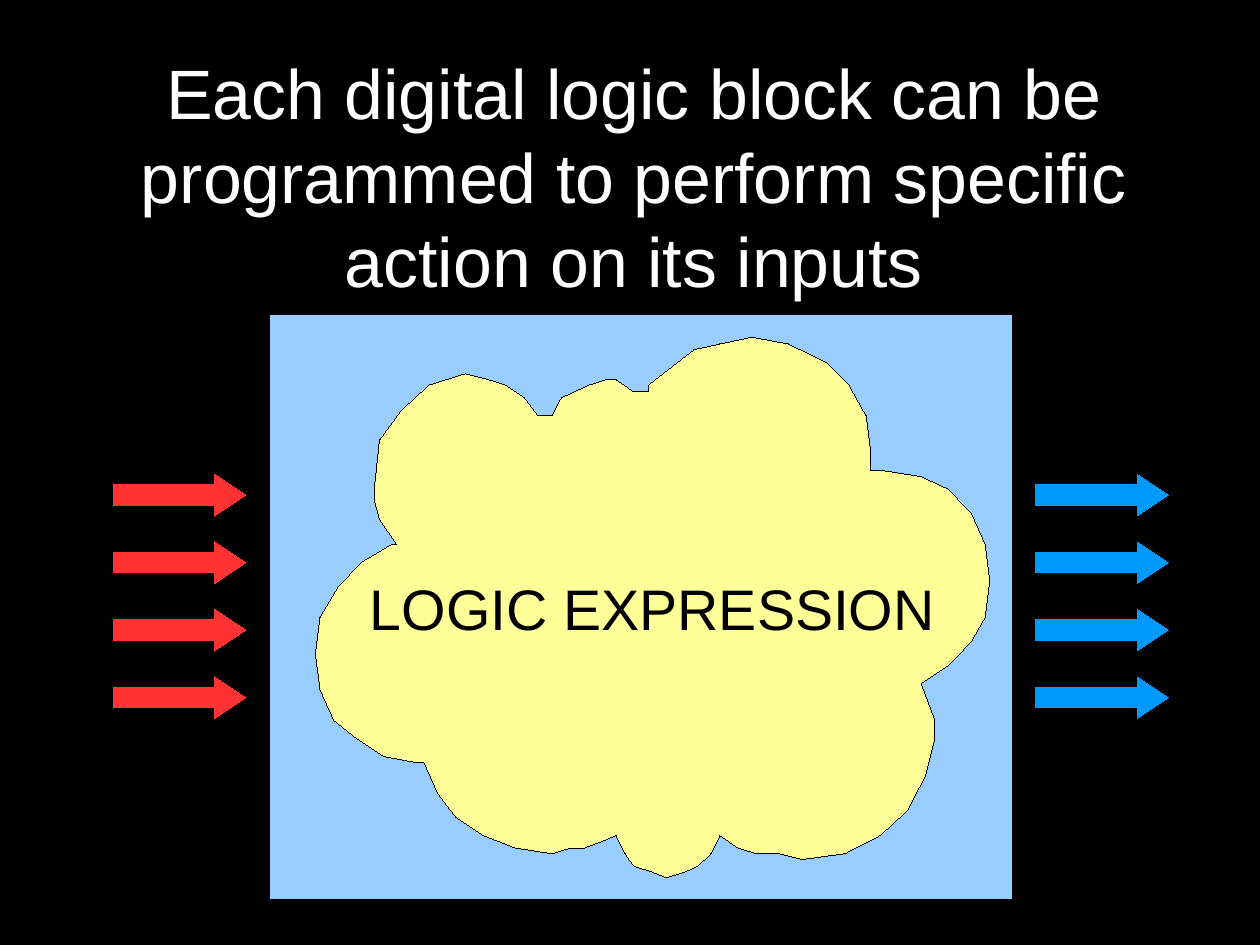
from dataclasses import dataclass

from pptx import Presentation
from pptx import util as u
from pptx.dml.color import RGBColor
from pptx.enum import shapes, text
from pptx.oxml import ns

BLACK = RGBColor(0x00, 0x00, 0x00)
WHITE = RGBColor(0xFF, 0xFF, 0xFF)
PALE_BLUE = RGBColor(0x99, 0xCC, 0xFF)
RED = RGBColor(0xFF, 0x33, 0x33)
BLUE = RGBColor(0x00, 0x99, 0xFF)
YELLOW = RGBColor(0xFF, 0xFF, 0x99)

CM_PER_INCH = 2.54
ARROWS_PER_SIDE = 4
ARROW_TOP_CM = 10.5
ARROW_PITCH_CM = 1.5
HUNDREDTH = u.Inches(0.01)

CLOUD_OUTLINE = (
    (806, 598), (818, 630), (818, 646), (810, 678), (794, 709), (770, 731),
    (739, 747), (702, 752), (682, 747), (662, 747), (646, 742), (630, 731),
    (622, 747), (610, 758), (599, 763), (583, 768), (571, 763), (555, 758),
    (547, 747), (539, 731), (527, 736), (511, 742), (499, 742), (483, 747),
    (451, 742), (423, 731), (399, 715), (383, 694), (371, 667), (363, 667),
    (336, 662), (312, 646), (292, 630), (280, 603), (276, 572), (280, 540),
    (296, 513), (316, 492), (343, 476), (347, 476), (332, 454), (328, 439),
    (328, 423), (332, 385), (351, 359), (375, 337), (407, 327), (427, 332),
    (443, 337), (459, 348), (471, 364), (483, 364), (491, 348), (515, 337),
    (531, 332), (539, 332), (555, 343), (567, 343), (567, 337), (607, 306),
    (630, 301), (658, 295), (690, 301), (723, 317), (743, 337), (758, 364),
    (762, 396), (762, 412), (774, 412), (806, 417), (830, 428), (850, 449),
    (862, 476), (866, 508), (862, 540), (850, 561), (830, 582),
)


@dataclass
class ArrowColumn:
    left_cm: float
    color: RGBColor


ARROW_COLUMNS = (ArrowColumn(2.5, RED), ArrowColumn(23, BLUE))


def metric(cm: float) -> u.Length:
    return u.Inches(cm / CM_PER_INCH)


def paint(sp, color: RGBColor) -> None:
    sp.shadow.inherit = False
    sp.fill.solid()
    sp.fill.fore_color.rgb = color
    sp.line.color.rgb = BLACK
    sp._element.spPr.find(ns.qn("a:ln")).set("w", "0")


def write(sp, wording: str, size: int, color: RGBColor, frame: dict) -> None:
    tf = sp.text_frame
    for name, value in frame.items():
        setattr(tf, name, value)
    p = tf.paragraphs[0]
    p.alignment = text.PP_ALIGN.CENTER
    r = p.add_run()
    r.text = wording
    for name, value in {"name": "Arial", "size": u.Pt(size)}.items():
        setattr(r.font, name, value)
    r.font.color.rgb = color


def add_title(s) -> None:
    title = s.shapes.title
    box = {"left": 0.59, "top": 0.51, "width": 9.92, "height": 2.05}
    for name, value in box.items():
        setattr(title, name, u.Inches(value))
    frame = {
        "margin_left": 0, "margin_top": 0, "margin_right": 0, "margin_bottom": 0,
        "word_wrap": True,
        "vertical_anchor": text.MSO_ANCHOR.MIDDLE,
        "auto_size": text.MSO_AUTO_SIZE.SHAPE_TO_FIT_TEXT,
    }
    write(title, "Each digital logic block can be programmed to perform "
          "specific action on its inputs", 44, WHITE, frame)


def add_preset(s, kind, left: float, top: float, width: float, height: float,
               color: RGBColor):
    sp = s.shapes.add_shape(kind, *map(metric, (left, top, width, height)))
    paint(sp, color)
    return sp


def add_arrows(s, column: ArrowColumn) -> None:
    for i in range(ARROWS_PER_SIDE):
        arrow = add_preset(s, shapes.MSO_SHAPE.RIGHT_ARROW, column.left_cm,
                           ARROW_TOP_CM + i * ARROW_PITCH_CM, 3, 1, column.color)
        arrow.adjustments[0] = 0.5
        arrow.adjustments[1] = 0.75


def add_cloud(s) -> None:
    start, *rest = CLOUD_OUTLINE
    builder = s.shapes.build_freeform(*start, scale=HUNDREDTH)
    builder.add_line_segments(rest, close=True)
    cloud = builder.convert_to_shape()
    paint(cloud, YELLOW)
    frame = {"word_wrap": True, "vertical_anchor": text.MSO_ANCHOR.MIDDLE}
    write(cloud, "LOGIC EXPRESSION", 36, BLACK, frame)


def main() -> None:
    prs = Presentation()
    prs.slide_width, prs.slide_height = metric(28), metric(21)
    s = prs.slides.add_slide(prs.slide_layouts.get_by_name("Title Only"))
    s.background.fill.solid()
    s.background.fill.fore_color.rgb = BLACK
    add_title(s)
    add_preset(s, shapes.MSO_SHAPE.FLOWCHART_PROCESS, 6, 7, 16.5, 13, PALE_BLUE)
    for column in ARROW_COLUMNS:
        add_arrows(s, column)
    add_cloud(s)
    prs.save("out.pptx")


if __name__ == "__main__":
    main()
